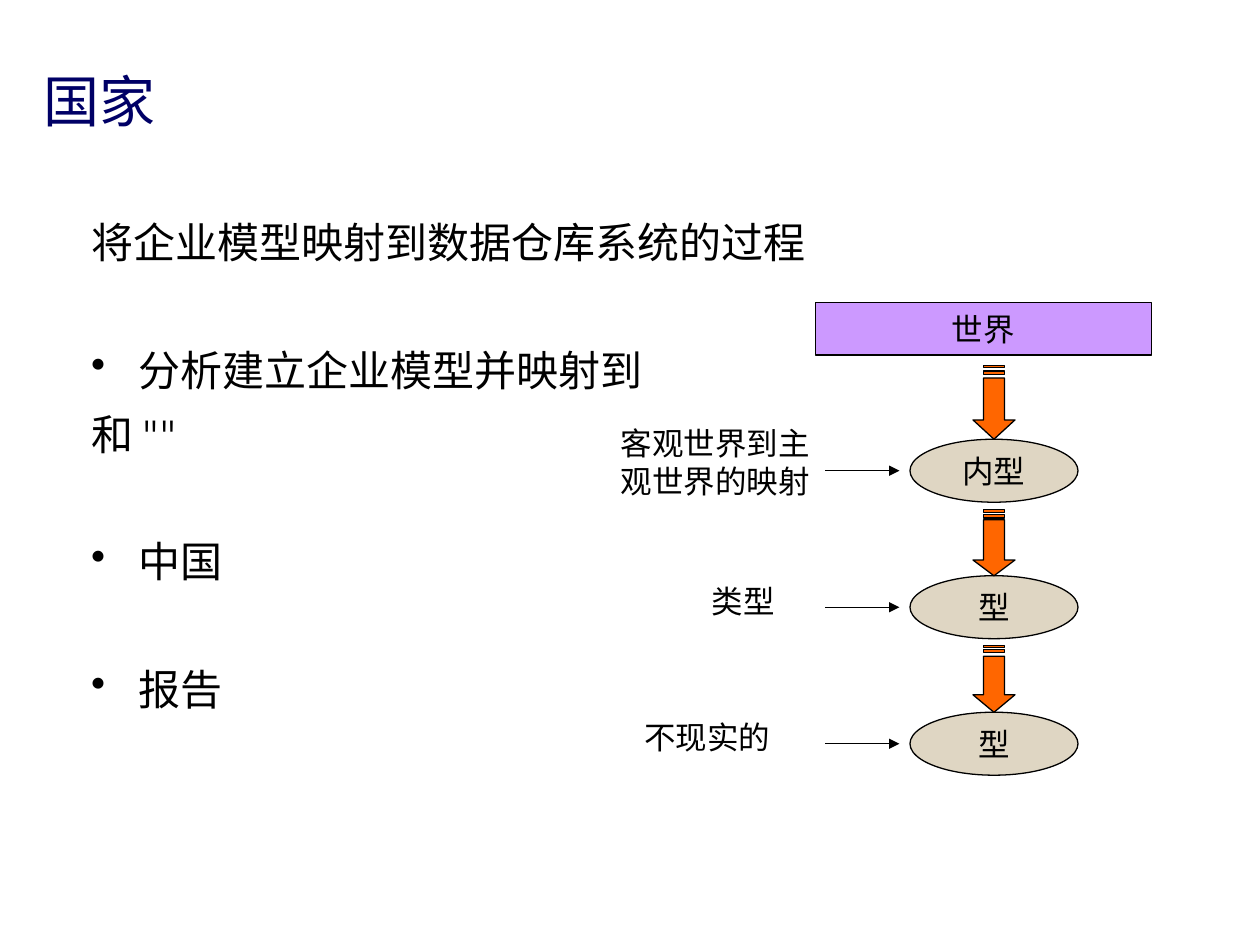
from pptx import Presentation
from pptx.dml.color import RGBColor
from pptx.enum import shapes, text
from pptx.oxml.ns import qn
from pptx.util import Pt
from lxml import etree

TITLE = "国家"
BODY = [
    ("将企业模型映射到数据仓库系统的过程", False, 0),
    ("分析建立企业模型并映射到", True, 1),
    ('和 ""', False, 0),
    ("中国", True, 1),
    ("报告", True, 1),
]
WORLD = "世界"
STAGES = [
    {"name": "内型", "note": "客观世界到主观世界的映射", "box": (345.6, 239, 126, 50.4), "arrow_top": 209},
    {"name": "型", "note": "类型", "box": (381.6, 329, 86.4, 28.8), "arrow_top": 291.4},
    {"name": "型", "note": "不现实的", "box": (334, 407, 140.4, 28.8), "arrow_top": 368.6},
]
LINE_PITCH, PARA_GAP = 36.5, 4.8
AXIS, STAGE_TOP, STAGE_STEP = 568, 251, 98.3
OVAL_W, OVAL_H = 96, 36
ARROW_W = 24


def rgb(hex_code):
    return RGBColor.from_string(hex_code)


def format_text(p, size, font, color="000000", align=None):
    p.alignment = align
    for r in p.runs:
        r.font.size = Pt(size)
        r.font.name = font
        r.font.color.rgb = rgb(color)


def paint(s, fill):
    s.shadow.inherit = False
    s.fill.solid()
    s.fill.fore_color.rgb = rgb(fill)
    s.line.color.rgb = rgb("000000")
    s.line.width = Pt(0.75)


def add_text(slide, box, wrap=True):
    s = slide.shapes.add_textbox(*map(Pt, box))
    s.text_frame.word_wrap = wrap
    return s.text_frame


def add_node(slide, kind, box, label, fill):
    s = slide.shapes.add_shape(kind, *map(Pt, box))
    paint(s, fill)
    tf = s.text_frame
    tf.word_wrap = False
    tf.vertical_anchor = text.MSO_ANCHOR.MIDDLE
    tf.text = label
    format_text(tf.paragraphs[0], 18, "Lato", align=text.PP_ALIGN.CENTER)


def add_striped_arrow(slide, top, bottom):
    length = bottom - top
    half, stem = ARROW_W / 2, ARROW_W / 4
    neck, body = top + length * 3 / 4, top + length * 5 / 32
    outlines = [[
        (AXIS + half, neck), (AXIS + stem, neck), (AXIS + stem, body),
        (AXIS - stem, body), (AXIS - stem, neck), (AXIS - half, neck), (AXIS, bottom),
    ]]
    for start, end in ((2 / 32, 4 / 32), (0, 1 / 32)):
        y1, y2 = top + length * start, top + length * end
        outlines.append([(AXIS + stem, y1), (AXIS - stem, y1), (AXIS - stem, y2), (AXIS + stem, y2)])
    builder = slide.shapes.build_freeform(*outlines[0][0], scale=Pt(1))
    for i, points in enumerate(outlines):
        if i:
            builder.move_to(*points[0])
        builder.add_line_segments(points[1:], close=True)
    paint(builder.convert_to_shape(), "FF6600")


def add_pointer(slide, y):
    s = slide.shapes.add_connector(shapes.MSO_CONNECTOR.STRAIGHT, Pt(471.6), Pt(y), Pt(514), Pt(y))
    s.line.color.rgb = rgb("000000")
    s.line.width = Pt(0.75)
    etree.SubElement(s.line._get_or_add_ln(), qn("a:tailEnd"), type="triangle")
    etree.SubElement(s._element.spPr, qn("a:effectLst"))


def add_body(slide):
    tf = add_text(slide, (45, 117.4, 636, 372))
    for i, (line, bullet, blank_lines) in enumerate(BODY):
        p = tf.paragraphs[0] if i == 0 else tf.add_paragraph()
        p.text = line
        p.line_spacing = 1.1
        p.space_before = Pt(PARA_GAP + blank_lines * LINE_PITCH)
        format_text(p, 24, "Montserrat")
        pPr = p._p.get_or_add_pPr()
        pPr.set("marL", str(Pt(27)))
        pPr.set("indent", str(-Pt(27)))
        if bullet:
            etree.SubElement(pPr, qn("a:buChar"), char="•")
        else:
            etree.SubElement(pPr, qn("a:buNone"))


def main():
    prs = Presentation()
    prs.slide_width, prs.slide_height = Pt(720), Pt(540)
    slide = prs.slides.add_slide(prs.slide_layouts[6])

    tf = add_text(slide, (18, 38, 678, 42))
    tf.vertical_anchor = text.MSO_ANCHOR.BOTTOM
    tf.text = TITLE
    format_text(tf.paragraphs[0], 32, "Montserrat", "000066")
    add_body(slide)

    add_node(slide, shapes.MSO_SHAPE.RECTANGLE, (466, 173, 192, 30), WORLD, "CC99FF")
    for i, stage in enumerate(STAGES):
        top = STAGE_TOP + i * STAGE_STEP * 0 + i * 78
        add_node(slide, shapes.MSO_SHAPE.OVAL, (AXIS - OVAL_W / 2, top, OVAL_W, OVAL_H), stage["name"], "DFD6C3")
        add_striped_arrow(slide, stage["arrow_top"], top)
        add_pointer(slide, top + OVAL_H / 2)
        tf = add_text(slide, stage["box"], wrap=i == 0)
        tf.text = stage["note"]
        format_text(tf.paragraphs[0], 18, "Lato", align=text.PP_ALIGN.CENTER)

    prs.save("out.pptx")


if __name__ == "__main__":
    main()
